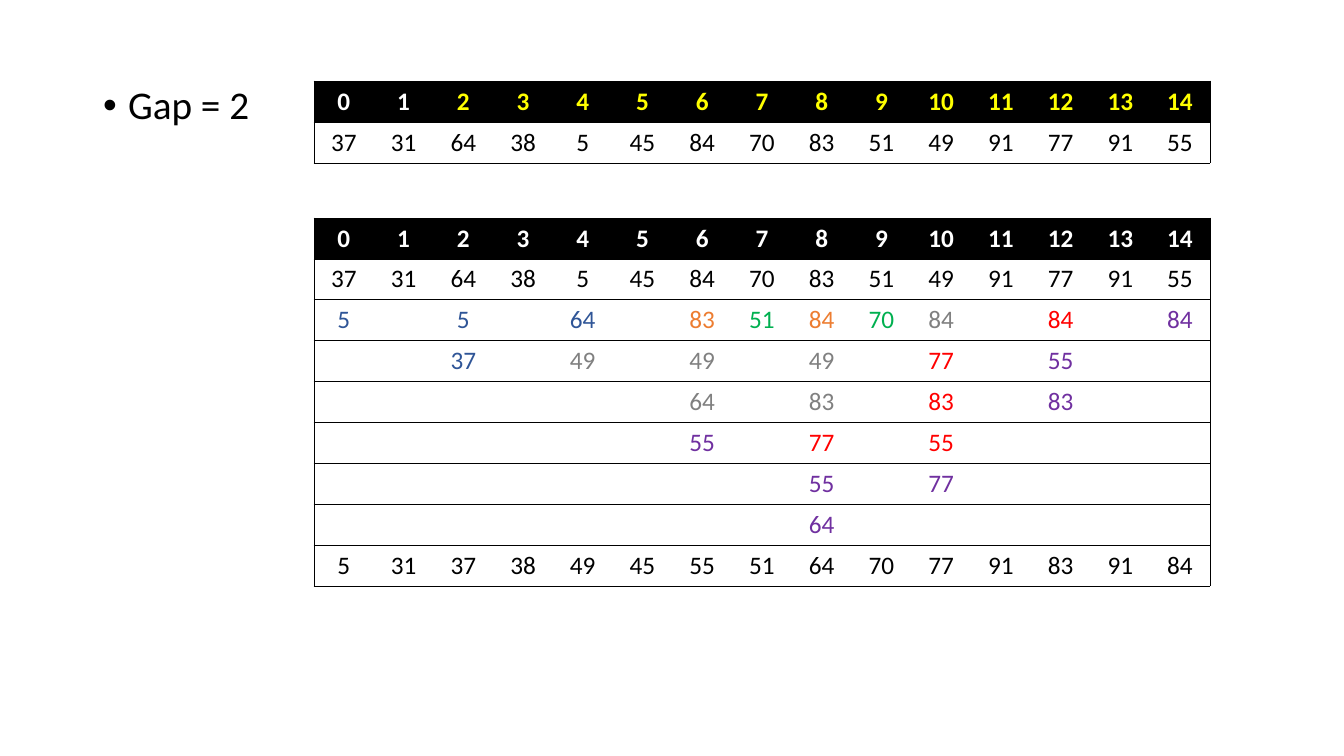
from lxml import etree
from pptx import Presentation
from pptx.dml.color import RGBColor
from pptx.enum.text import PP_ALIGN
from pptx.oxml.ns import qn
from pptx.util import Emu, Pt

CENTER = PP_ALIGN.CENTER
PX = 914400 / 100.8
COLORS = {
    "black": "000000", "white": "FFFFFF", "yellow": "FFFF00", "blue": "2F5597",
    "orange": "ED7D31", "green": "00B050", "gray": "808080", "red": "FF0000",
    "purple": "7030A0",
}
GAP = 2
START = [37, 31, 64, 38, 5, 45, 84, 70, 83, 51, 49, 91, 77, 91, 55]
SORTED = [5, 31, 37, 38, 49, 45, 55, 51, 64, 70, 77, 91, 83, 91, 84]
STEP_ROWS = 6
# Writes made while inserting each element: (step row, index, value)
INSERTIONS = {
    "blue": [(0, 0, 5), (0, 2, 5), (0, 4, 64), (1, 2, 37)],
    "orange": [(0, 6, 83), (0, 8, 84)],
    "green": [(0, 7, 51), (0, 9, 70)],
    "gray": [(0, 10, 84), (1, 4, 49), (1, 6, 49), (1, 8, 49), (2, 6, 64), (2, 8, 83)],
    "red": [(0, 12, 84), (1, 10, 77), (2, 10, 83), (3, 8, 77), (3, 10, 55)],
    "purple": [(0, 14, 84), (1, 12, 55), (2, 12, 83), (3, 6, 55),
               (4, 8, 55), (4, 10, 77), (5, 8, 64)],
}


def px(length):
    return Emu(round(length * PX))


def rgb(name):
    return RGBColor.from_string(COLORS[name])


class Deck:
    font = "Calibri"
    bullet_size = 28
    cell_size = 18
    border_width = 0.5

    def __init__(self):
        self.prs = Presentation()
        self.prs.slide_width, self.prs.slide_height = px(1344), px(756)
        self.slide = self.prs.slides.add_slide(self.prs.slide_layouts[1])
        title = self.slide.shapes.title
        title.element.getparent().remove(title.element)

    def style(self, font, size, color, bold=False):
        font.name, font.size, font.bold = self.font, Pt(size), bold
        font.color.rgb = rgb(color)

    def bullet(self, text, left, top, width, height, indent):
        body = self.slide.placeholders[1]
        body.left, body.top = px(left), px(top)
        body.width, body.height = px(width), px(height)
        body.text_frame.text = text
        paragraph = body.text_frame.paragraphs[0]
        paragraph.line_spacing, paragraph.space_before = 0.9, Pt(10)
        self.style(paragraph.runs[0].font, self.bullet_size, "black")
        props = paragraph._p.get_or_add_pPr()
        props.set("marL", str(px(indent)))
        props.set("indent", str(-px(indent)))
        etree.SubElement(props, qn("a:buFont")).set("typeface", "Arial")
        etree.SubElement(props, qn("a:buChar")).set("char", "•")

    def border(self, cell, side, visible):
        line = etree.SubElement(cell._tc.get_or_add_tcPr(), qn(f"a:ln{side}"))
        line.set("w", str(Pt(self.border_width)))
        if visible:
            fill = etree.SubElement(line, qn("a:solidFill"))
            etree.SubElement(fill, qn("a:srgbClr")).set("val", COLORS["black"])
        else:
            etree.SubElement(line, qn("a:noFill"))

    def table(self, rows, left, top, width, height):
        """Draw rows of (text, color) pairs; the first row is the header."""
        last = len(rows[0]) - 1
        table = self.slide.shapes.add_table(
            len(rows), len(rows[0]), px(left), px(top), px(width), px(height)).table
        table.horz_banding = False
        for r, row in enumerate(rows):
            for c, (text, color) in enumerate(row):
                cell = table.cell(r, c)
                for side, visible in (("L", c == 0), ("R", c == last),
                                      ("T", True), ("B", True)):
                    self.border(cell, side, visible)
                if r == 0:
                    cell.fill.solid()
                    cell.fill.fore_color.rgb = rgb("black")
                else:
                    cell.fill.background()
                cell.text_frame.text = text
                paragraph = cell.text_frame.paragraphs[0]
                paragraph.alignment = CENTER
                for run in paragraph.runs:
                    self.style(run.font, self.cell_size, color, bold=r == 0)


def colored(values, color):
    return [(str(value), color) for value in values]


def main():
    indexes = range(len(START))
    steps = [colored([""] * len(START), "black") for _ in range(STEP_ROWS)]
    for color, writes in INSERTIONS.items():
        for step, index, value in writes:
            steps[step][index] = (str(value), color)
    start = colored(START, "black")
    marked = colored(indexes[:GAP], "white") + colored(indexes[GAP:], "yellow")
    trace = [colored(indexes, "white"), start, *steps, colored(SORTED, "black")]

    deck = Deck()
    deck.bullet(f"Gap = {GAP}", 93, 81, 1159, 641, 25)
    deck.table([marked, start], 314, 81, 896, 82)
    deck.table(trace, 314, 218, 896, 368)
    deck.prs.save("out.pptx")


if __name__ == "__main__":
    main()
